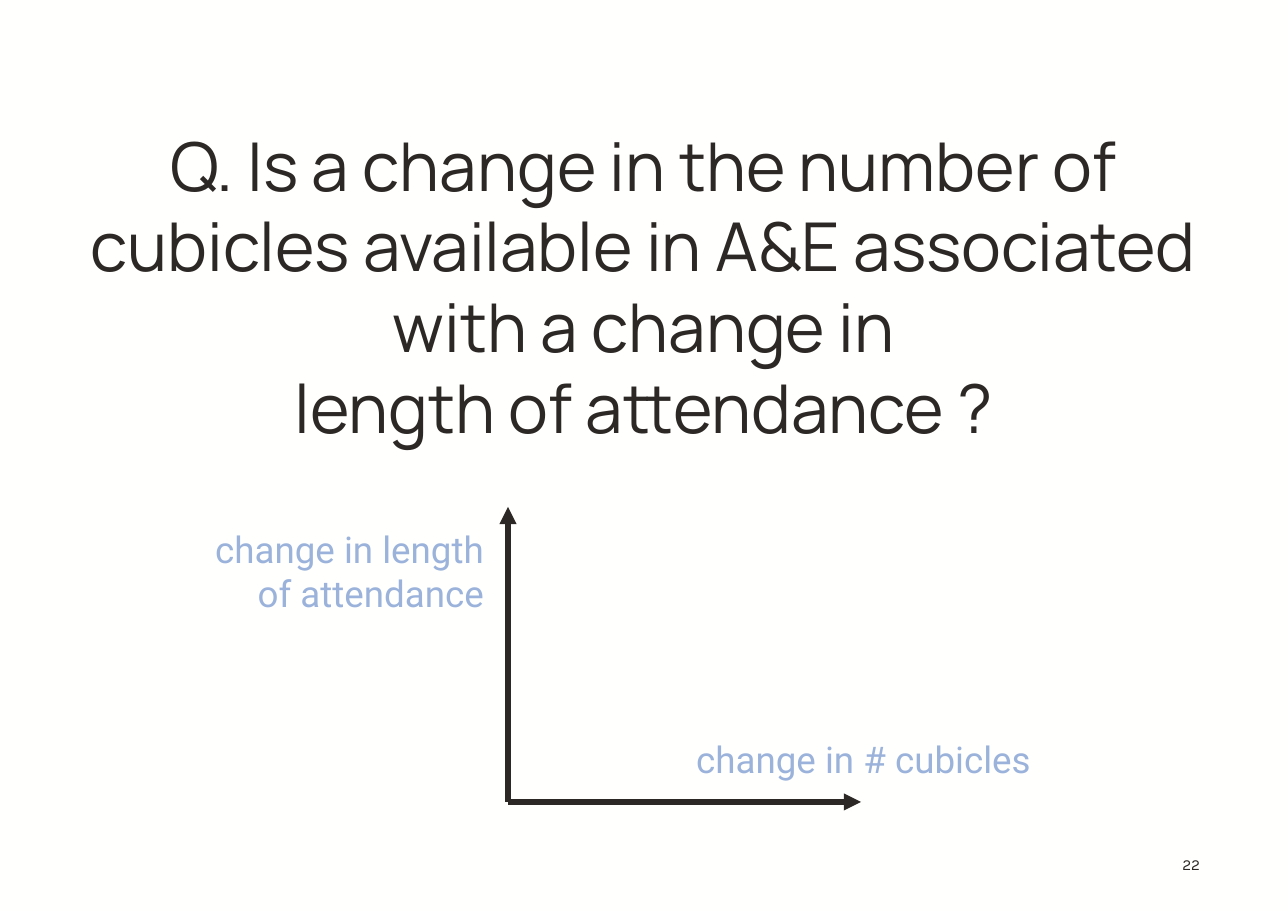
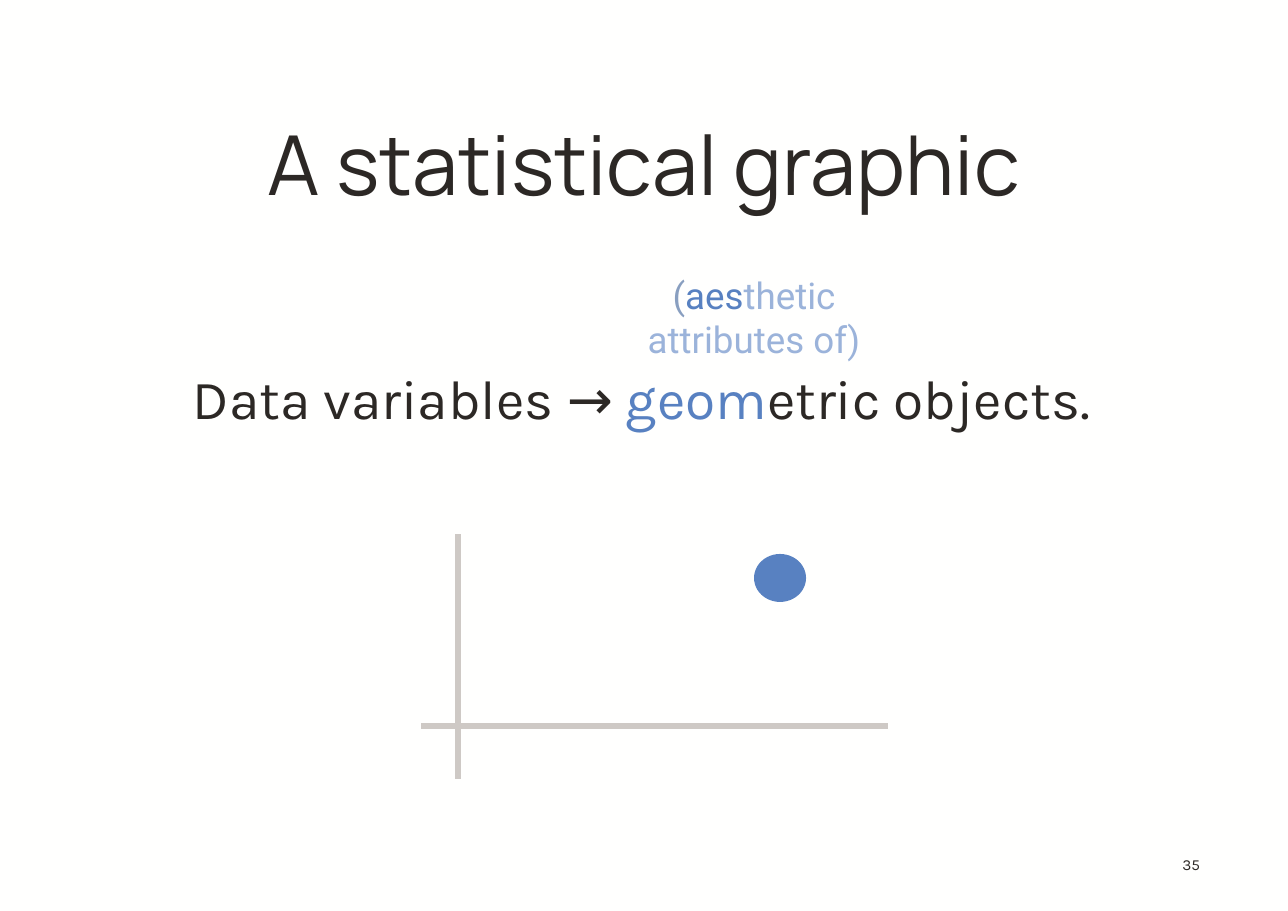
from lxml import etree
from pptx import Presentation
from pptx.dml.color import RGBColor
from pptx.enum.shapes import MSO_CONNECTOR, MSO_SHAPE
from pptx.enum.text import MSO_ANCHOR, MSO_AUTO_SIZE, PP_ALIGN
from pptx.oxml.ns import qn
from pptx.util import Pt

PX = 8298  # EMU in one px
LEFT, CENTER, RIGHT = PP_ALIGN.LEFT, PP_ALIGN.CENTER, PP_ALIGN.RIGHT
TOP, BOTTOM = MSO_ANCHOR.TOP, MSO_ANCHOR.BOTTOM
INK, BLUE, PALE_BLUE, SLATE = "2C2825", "5881C1", "9BB3DA", "899FC0"
GREY, PAPER = "CEC9C5", "FFFFFE"
TITLE_FONT, BODY_FONT, LABEL_FONT = "Manrope", "Karla", "Roboto"


def colour(hex_string):
    return RGBColor.from_string(hex_string)


def set_text(shape, box, paragraphs, font, size, alignment, anchor=TOP, inset=9):
    """Place the shape and fill it; each paragraph is a list of (text, colour) runs."""
    shape.left, shape.top, shape.width, shape.height = [length * PX for length in box]
    frame = shape.text_frame
    frame.word_wrap = True
    frame.auto_size = MSO_AUTO_SIZE.NONE
    frame.vertical_anchor = anchor
    frame.margin_left = frame.margin_right = inset * PX
    frame.margin_top = frame.margin_bottom = min(inset, 9) * PX
    for index, runs in enumerate(paragraphs):
        paragraph = frame.paragraphs[0] if index == 0 else frame.add_paragraph()
        properties = paragraph._p.get_or_add_pPr()
        properties.set("marL", "0")
        properties.set("indent", "0")
        etree.SubElement(properties, qn("a:buNone"))
        paragraph.alignment = alignment
        paragraph.space_before = Pt(0)
        paragraph.font.name = font
        paragraph.font.size = Pt(size)
        if len(runs) == 1:
            text, text_colour = runs[0]
            paragraph.text = text
            paragraph.font.color.rgb = colour(text_colour)
            continue
        for text, run_colour in runs:
            run = paragraph.add_run()
            run.text = text
            run.font.color.rgb = colour(run_colour)


presentation = Presentation()
presentation.slide_width = 1288 * PX
presentation.slide_height = 911 * PX
background = presentation.slide_master.background.fill
background.solid()
background.fore_color.rgb = colour(PAPER)
content_layout = presentation.slide_layouts[1]
title_only_layout = presentation.slide_layouts[5]

question = ("Q. Is a change in the number of cubicles available in A&E "
            "associated with a change in\vlength of attendance ?")
slide_plans = [
    {
        "layout": title_only_layout,
        "title": (question, 44, (80, 71, 1128, 385)),
        "number": "22",
        "axes": [(508, 802, 508, 507), (508, 802, 861, 802)],
        "axis_colour": INK,
        "arrows": True,
        "labels": [
            ((645, 731, 437, 55), [[("change in # cubicles", PALE_BLUE)]], CENTER),
            ((168, 521, 322, 144), [[("change in length of attendance", PALE_BLUE)]], RIGHT),
        ],
    },
    {
        "layout": content_layout,
        "title": ("A statistical graphic", 54, (80, 134, 1128, 87)),
        "number": "35",
        "axes": [(421, 726, 888, 726), (458, 779, 458, 534)],
        "axis_colour": GREY,
        "arrows": False,
        "labels": [
            ((544, 267, 420, 100),
             [[("(", SLATE), ("aes", BLUE), ("thetic", PALE_BLUE)],
              [("attributes of)", PALE_BLUE)]], CENTER),
        ],
    },
]

for plan in slide_plans:
    slide = presentation.slides.add_slide(plan["layout"])
    title, title_size, title_box = plan["title"]
    set_text(slide.shapes.title, title_box, [[(title, INK)]],
             TITLE_FONT, title_size, CENTER, BOTTOM)
    set_text(slide.shapes.add_textbox(0, 0, 0, 0), (1122, 846, 87, 44),
             [[(plan["number"], INK)]], BODY_FONT, 10, RIGHT)

    for start_x, start_y, end_x, end_y in plan["axes"]:
        axis = slide.shapes.add_connector(
            MSO_CONNECTOR.STRAIGHT, start_x * PX, start_y * PX, end_x * PX, end_y * PX)
        axis.line.color.rgb = colour(plan["axis_colour"])
        axis.line.width = Pt(3.75)
        if plan["arrows"]:
            etree.SubElement(axis.line._ln, qn("a:tailEnd"), type="triangle")
        etree.SubElement(axis._element.spPr, qn("a:effectLst"))

    for label_box, paragraphs, alignment in plan["labels"]:
        set_text(slide.shapes.add_textbox(0, 0, 0, 0), label_box, paragraphs,
                 LABEL_FONT, 24, alignment, inset=6)

graphic_slide = presentation.slides[1]
set_text(graphic_slide.placeholders[1], (31, 350, 1221, 90),
         [[("Data variables → ", INK), ("geom", BLUE), ("etric objects.", INK)]],
         BODY_FONT, 36, CENTER, BOTTOM)

data_point = graphic_slide.shapes.add_shape(
    MSO_SHAPE.OVAL, 754 * PX, 554 * PX, 52 * PX, 48 * PX)
data_point.shadow.inherit = False
data_point.fill.solid()
data_point.fill.fore_color.rgb = colour(BLUE)
data_point.line.fill.background()

presentation.save("out.pptx")
